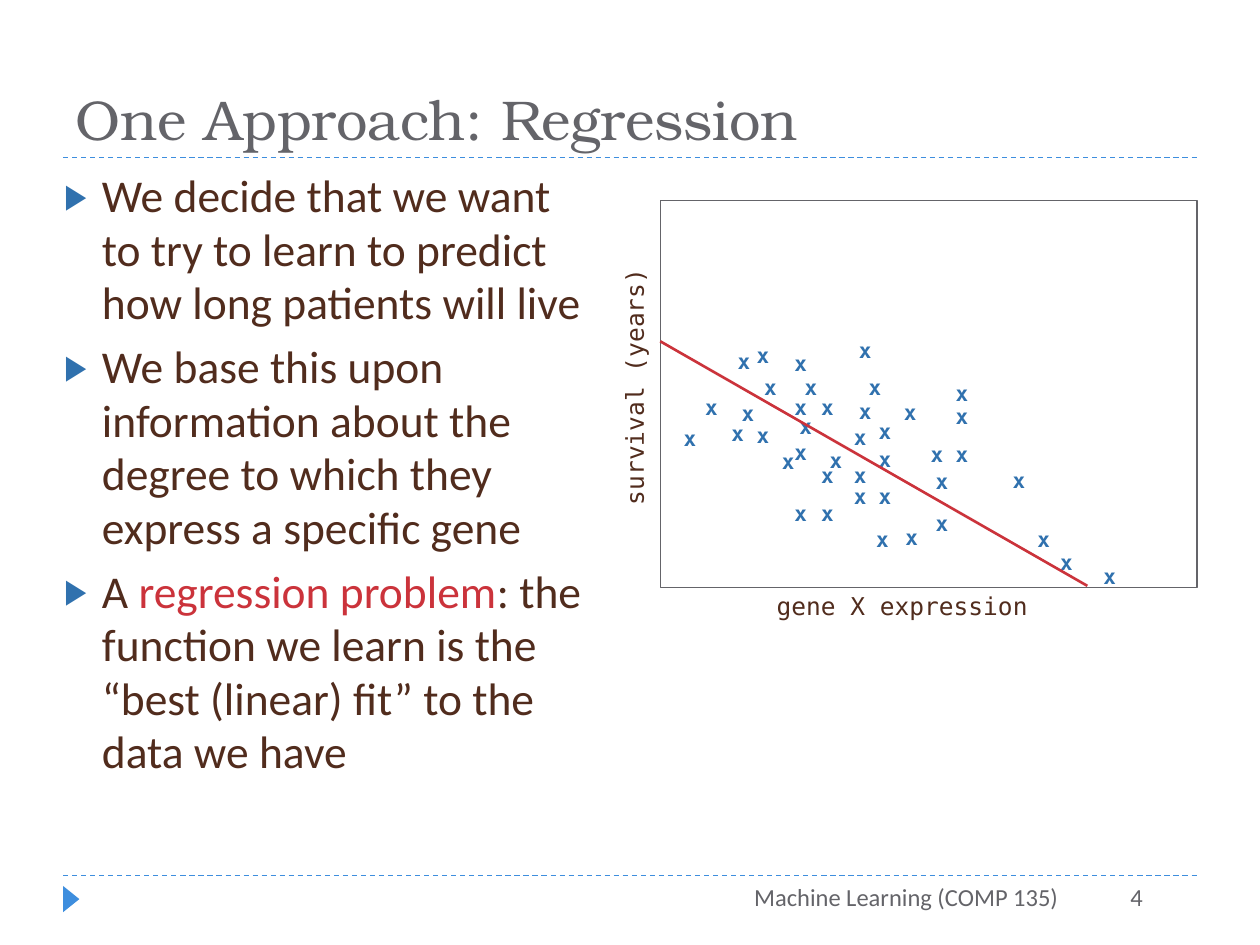
import lxml.etree
import pptx
import pptx.dml.color
import pptx.enum.dml
import pptx.enum.shapes
import pptx.enum.text
import pptx.oxml.ns
import pptx.util
from pptx.util import Cm

RGBColor = pptx.dml.color.RGBColor
GREY = RGBColor(0x64, 0x64, 0x69)
BROWN = RGBColor(0x51, 0x2C, 0x1D)
RED = RGBColor(0xCB, 0x33, 0x3B)
BLUE = RGBColor(0x30, 0x71, 0xAE)
LIGHT_BLUE = RGBColor(0x3E, 0x8E, 0xDE)

TITLE_FONT = "TeX Gyre Bonum"
BODY_FONT = "Calibri"
PLOT_FONT = "DejaVu Sans Mono"

ALIGN = pptx.enum.text.PP_ALIGN
ANCHOR = pptx.enum.text.MSO_ANCHOR

# Each bullet is a list of (text, colour) runs
BULLETS = [
    [("We decide that we want to try to learn to predict how long patients will live", BROWN)],
    [("We base this upon information about the degree to which they express a specific gene", BROWN)],
    [("A ", BROWN), ("regression problem", RED),
     (": the function we learn is the “best (linear) fit” to the data we have", BROWN)],
]

# Centres of the patient marks, in cm from the plot's top left corner
PATIENTS = [
    (2.07, 4.83), (2.58, 5.36), (2.93, 4.65), (4.13, 4.34), (4.13, 3.12), (5.68, 5.77),
    (6.08, 3.99), (4.33, 3.86), (1.77, 4.39), (2.22, 3.86), (2.83, 5.18), (4.03, 4.88),
    (5.04, 4.37), (2.83, 6.40), (4.03, 6.07), (5.58, 5.21), (6.08, 5.21), (3.37, 5.64),
    (4.53, 5.31), (6.08, 4.45), (4.48, 6.93), (5.68, 6.60), (7.23, 5.74), (3.04, 3.86),
    (1.69, 3.35), (2.07, 3.23), (2.83, 3.38), (1.03, 4.27), (0.60, 4.90), (1.56, 4.80),
    (9.06, 7.67), (2.83, 4.27), (4.03, 5.64), (3.37, 6.40), (4.53, 6.07), (3.37, 4.27),
    (4.53, 4.75), (3.54, 5.33), (5.07, 6.88), (7.73, 6.93), (8.19, 7.39),
]


def set_font(paragraph, name, size, color=None, bold=False):
    font = paragraph.font
    font.name, font.size, font.bold = name, pptx.util.Pt(size), bold
    if color is not None:
        font.color.rgb = color


def place(shape, left, top, width, height):
    shape.left, shape.top, shape.width, shape.height = left, top, width, height


def add_label(shapes, box, text, font, size, color, align, bold=False):
    label = shapes.add_textbox(*box)
    label.text_frame.word_wrap = True
    paragraph = label.text_frame.paragraphs[0]
    paragraph.text = text
    paragraph.alignment = align
    set_font(paragraph, font, size, color, bold)
    return label


def add_line(shapes, start, end, color, width):
    line = shapes.add_connector(pptx.enum.shapes.MSO_CONNECTOR.STRAIGHT, *start, *end)
    line.line.color.rgb = color
    line.line.width = pptx.util.Pt(width)
    lxml.etree.SubElement(line._element.spPr, pptx.oxml.ns.qn("a:effectLst"))
    return line


def add_bullet(paragraph, symbol, color, percent):
    properties = paragraph._p.get_or_add_pPr()
    properties.set("marL", str(Cm(0.76)))
    properties.set("indent", str(-Cm(0.76)))

    def add(parent, tag, **attributes):
        return lxml.etree.SubElement(parent, pptx.oxml.ns.qn(tag), attributes)

    add(add(properties, "a:buClr"), "a:srgbClr", val=str(color))
    add(properties, "a:buSzPct", val=str(percent * 1000))
    add(properties, "a:buChar", char=symbol)


def fill_title(title, left, top, width, height):
    place(title, left, top, width, height)
    frame = title.text_frame
    frame.text = "One Approach: Regression"
    frame.vertical_anchor = ANCHOR.BOTTOM
    frame.auto_size = pptx.enum.text.MSO_AUTO_SIZE.NONE
    frame.paragraphs[0].alignment = ALIGN.LEFT
    set_font(frame.paragraphs[0], TITLE_FONT, 32, GREY)


def fill_body(body, left, top, width, height):
    place(body, left, top, width, height)
    frame = body.text_frame
    frame.vertical_anchor = ANCHOR.TOP
    frame.auto_size = pptx.enum.text.MSO_AUTO_SIZE.NONE
    for index, runs in enumerate(BULLETS):
        paragraph = frame.add_paragraph() if index else frame.paragraphs[0]
        paragraph.space_before = pptx.util.Pt(6)
        paragraph.line_spacing = 0.98
        add_bullet(paragraph, "▶", BLUE, 76)
        set_font(paragraph, BODY_FONT, 26)
        for text, color in runs:
            run = paragraph.add_run()
            run.text = text
            run.font.color.rgb = color


def add_plot(slide, left, top, width, height):
    shapes = slide.shapes.add_group_shape().shapes

    # Frame
    frame = shapes.add_shape(pptx.enum.shapes.MSO_SHAPE.RECTANGLE, left, top, width, height)
    frame.shadow.inherit = False
    frame.fill.background()
    frame.line.color.rgb = GREY
    frame.line.width = pptx.util.Pt(0.75)

    # Axis labels
    label_width, label_height = Cm(8), Cm(0.86)
    survival = add_label(
        shapes, (left - Cm(0.52) - label_width // 2, top + Cm(3.76) - label_height // 2,
                 label_width, label_height),
        "survival (years)", PLOT_FONT, 14, BROWN, ALIGN.CENTER)
    survival.rotation = 270
    add_label(shapes, (left + Cm(4.88) - label_width // 2, top + Cm(7.75), label_width, label_height),
              "gene X expression", PLOT_FONT, 14, BROWN, ALIGN.CENTER)

    # Patients
    mark_width, mark_height = Cm(1.55), Cm(0.96)
    for x, y in PATIENTS:
        box = (left + Cm(x) - mark_width // 2, top + Cm(y) - mark_height // 2, mark_width, mark_height)
        add_label(shapes, box, "x", PLOT_FONT, 12, BLUE, ALIGN.CENTER, bold=True)

    # Fitted line
    add_line(shapes, (left, top + Cm(2.84)), (left + Cm(8.61), top + Cm(7.77)), RED, 1.5)


def add_rule(slide, left, top, width):
    rule = add_line(slide.shapes, (left, top), (left + width, top), LIGHT_BLUE, 0.75)
    rule.line.dash_style = pptx.enum.dml.MSO_LINE.DASH


def add_footer(slide, left, top, width):
    add_rule(slide, left, top, width)
    arrow = slide.shapes.add_shape(pptx.enum.shapes.MSO_SHAPE.ISOSCELES_TRIANGLE,
                                   left - Cm(0.1), top + Cm(0.31), Cm(0.53), Cm(0.33))
    arrow.rotation = 90
    arrow.shadow.inherit = False
    arrow.fill.solid()
    arrow.fill.fore_color.rgb = LIGHT_BLUE
    arrow.line.fill.background()
    add_label(slide.shapes, (left + Cm(8.46), top, Cm(11.86), Cm(1.02)),
              "Machine Learning (COMP 135)", BODY_FONT, 14, GREY, ALIGN.RIGHT)
    add_label(slide.shapes, (left + Cm(19.25), top, Cm(2.77), Cm(1.02)),
              "4", BODY_FONT, 14, GREY, ALIGN.RIGHT)


def main():
    presentation = pptx.Presentation()
    presentation.slide_width, presentation.slide_height = Cm(25.4), Cm(19.05)
    slide = presentation.slides.add_slide(presentation.slide_layouts[1])
    margin, content_width = Cm(1.27), Cm(22.86)

    fill_title(slide.shapes.title, margin, Cm(0.64), content_width, Cm(2.54))
    add_rule(slide, margin, Cm(3.18), content_width)
    fill_body(slide.placeholders[1], Cm(1.04), Cm(3.3), Cm(11.23), Cm(13.03))
    add_plot(slide, Cm(13.31), Cm(4.04), Cm(10.82), Cm(7.8))
    add_footer(slide, margin, Cm(17.65), content_width)

    presentation.save("out.pptx")


if __name__ == "__main__":
    main()
